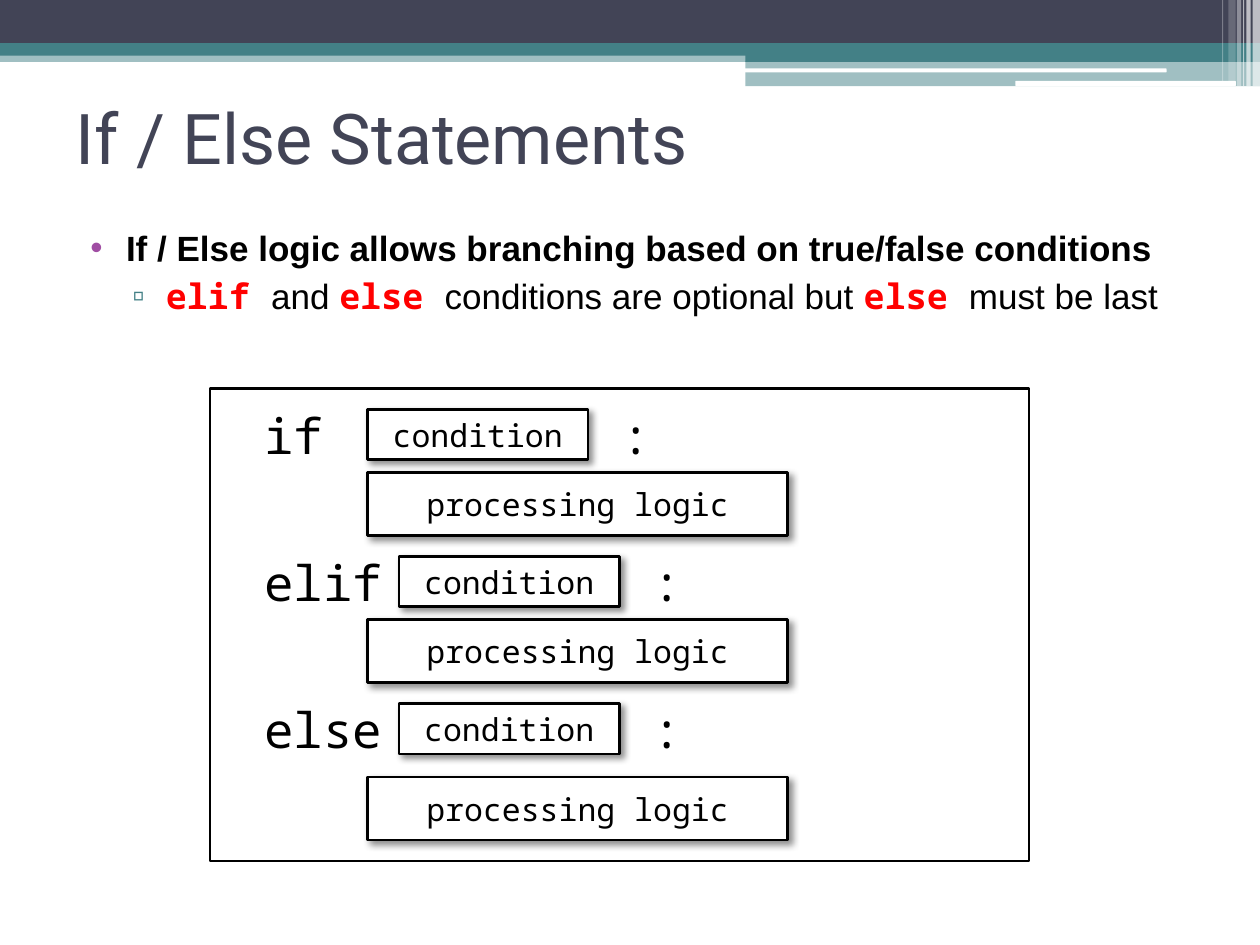
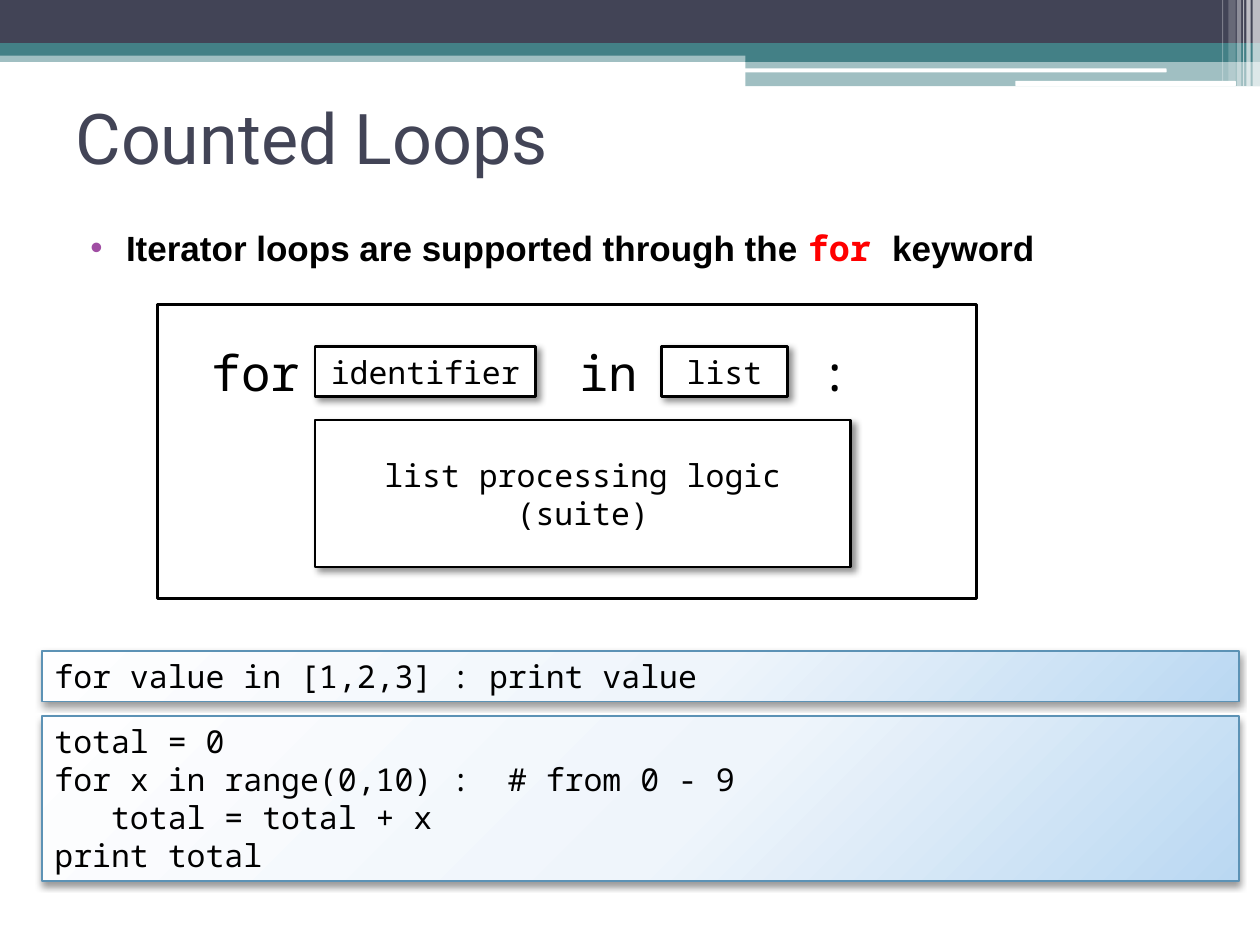
import dataclasses
import typing

import lxml.etree
import pptx
import pptx.dml.color
import pptx.enum.shapes
import pptx.enum.text
import pptx.oxml.ns
import pptx.presentation
import pptx.shapes.autoshape
import pptx.slide
import pptx.text.text
import pptx.util

RGBColor = pptx.dml.color.RGBColor
ALIGN = pptx.enum.text.PP_ALIGN
ANCHOR = pptx.enum.text.MSO_ANCHOR
AUTO_SIZE = pptx.enum.text.MSO_AUTO_SIZE
SHAPE = pptx.enum.shapes.MSO_SHAPE

SLATE = RGBColor(0x42, 0x44, 0x56)
TEAL = RGBColor(0x43, 0x80, 0x86)
PURPLE = RGBColor(0xA0, 0x4D, 0xA3)
RED = RGBColor(0xFF, 0x00, 0x00)
BLACK = RGBColor(0x00, 0x00, 0x00)
WHITE = RGBColor(0xFF, 0xFF, 0xFF)
CODE_BORDER = RGBColor(0x5C, 0x92, 0xB5)
CODE_GRADIENT = (
    (0, RGBColor(0xFE, 0xFE, 0xFF)),
    (55, RGBColor(0xEF, 0xF5, 0xFB)),
    (100, RGBColor(0xBA, 0xD8, 0xF2)),
)
CODE_FOCUS = {"l": -40, "t": -90, "r": 140, "b": 190}

TITLE_FONT = "Roboto"
BODY_FONT = "Arial"
CODE_FONT = "Noto Sans Mono"

EMU_PER_PX = 7620
SLIDE_WIDTH, SLIDE_HEIGHT = 1200, 900
ROW_STEP = 140
CODE_INDENT = 54


def px(length: int) -> pptx.util.Emu:
    return pptx.util.Emu(length * EMU_PER_PX)


class Frame(typing.NamedTuple):
    left: int
    top: int
    width: int
    height: int

    def emu(self) -> tuple[pptx.util.Emu, ...]:
        return tuple(px(length) for length in self)


class Band(typing.NamedTuple):
    frame: Frame
    color: RGBColor
    opacity: int = 100
    kind: SHAPE = SHAPE.RECTANGLE


class Shadow(typing.NamedTuple):
    opacity: int
    blur: float
    distance: float
    angle: int


class Span(typing.NamedTuple):
    text: str
    font: str = BODY_FONT
    color: RGBColor = BLACK
    bold: bool = False


class Bullet(typing.NamedTuple):
    symbol: str
    color: RGBColor
    margin: int
    hanging: int


@dataclasses.dataclass(frozen=True)
class BoxStyle:
    border: RGBColor = BLACK
    border_width: float = 1.5
    shadow: Shadow | None = None
    gradient: bool = False
    alignment: ALIGN = ALIGN.CENTER
    anchor: ANCHOR = ANCHOR.TOP
    auto_size: AUTO_SIZE = AUTO_SIZE.SHAPE_TO_FIT_TEXT


SOFT_SHADOW = Shadow(43, 4, 3, 45)
PANEL = BoxStyle(auto_size=AUTO_SIZE.NONE)
SLOT = BoxStyle(shadow=SOFT_SHADOW)
LOGIC = BoxStyle(shadow=SOFT_SHADOW, anchor=ANCHOR.MIDDLE, auto_size=AUTO_SIZE.NONE)
CODE = BoxStyle(CODE_BORDER, 0.75, Shadow(40, 4.1, 2, 90), True, ALIGN.LEFT)

BULLETS = (Bullet("•", PURPLE, 48, 34), Bullet("▫", TEAL, 86, 32))

BANDS = (
    Band(Frame(0, 48, SLIDE_WIDTH, 11), TEAL, 50),
    Band(Frame(0, 0, SLIDE_WIDTH, 41), SLATE),
    Band(Frame(0, 41, SLIDE_WIDTH, 12), TEAL),
    Band(Frame(710, 47, 490, 12), TEAL),
    Band(Frame(710, 58, 490, 24), TEAL, 50),
    Band(Frame(709, 65, 402, 4), WHITE, kind=SHAPE.ROUNDED_RECTANGLE),
    Band(Frame(967, 77, 210, 5), WHITE, kind=SHAPE.ROUNDED_RECTANGLE),
    Band(Frame(1193, 0, 7, 82), WHITE, 65),
    Band(Frame(1187, 0, 4, 82), WHITE, 65),
    Band(Frame(1184, 0, 1, 82), WHITE, 60),
    Band(Frame(1178, 0, 4, 82), WHITE, 40),
    Band(Frame(1170, 0, 7, 77), WHITE, 20),
    Band(Frame(1164, 0, 1, 77), WHITE, 30),
)


def set_formats(target: typing.Any, formats: dict[str, typing.Any]) -> None:
    for name, value in formats.items():
        setattr(target, name, value)


def add_child(parent: typing.Any, tag: str, **attributes: object) -> typing.Any:
    values = {name: str(value) for name, value in attributes.items()}
    return lxml.etree.SubElement(parent, pptx.oxml.ns.qn(tag), values)


def add_color(parent: typing.Any, color: RGBColor, opacity: int = 100) -> None:
    element = add_child(parent, "a:srgbClr", val=color)
    if opacity < 100:
        add_child(element, "a:alpha", val=opacity * 1000)


def add_span(paragraph: typing.Any, span: Span, size: int) -> None:
    run = paragraph.add_run()
    run.text = span.text
    set_formats(run.font, {"name": span.font, "size": pptx.util.Pt(size), "bold": span.bold})
    run.font.color.rgb = span.color


def paragraph_at(frame: pptx.text.text.TextFrame, index: int) -> typing.Any:
    return frame.add_paragraph() if index else frame.paragraphs[0]


def place(shape: typing.Any, frame: Frame) -> None:
    set_formats(shape, dict(zip(("left", "top", "width", "height"), frame.emu())))


def add_bands(slide: pptx.slide.Slide, layout: pptx.slide.SlideLayout) -> None:
    for band in BANDS:
        shape = slide.shapes.add_shape(band.kind, *band.frame.emu())
        shape.shadow.inherit = False
        shape.line.fill.background()
        shape.fill.solid()
        shape.fill.fore_color.rgb = band.color
        color = shape.element.spPr.find(".//" + pptx.oxml.ns.qn("a:srgbClr"))
        if band.opacity < 100:
            add_child(color, "a:alpha", val=band.opacity * 1000)
        layout.shapes.element.append(shape.element)


def set_gradient(shape: pptx.shapes.autoshape.Shape) -> None:
    shape.fill.background()
    properties = shape.element.spPr
    empty_fill = properties.find(pptx.oxml.ns.qn("a:noFill"))
    gradient = add_child(properties, "a:gradFill", rotWithShape=1)
    stops = add_child(gradient, "a:gsLst")
    for position, color in CODE_GRADIENT:
        add_color(add_child(stops, "a:gs", pos=position * 1000), color)
    circle = add_child(gradient, "a:path", path="circle")
    focus = {side: percent * 1000 for side, percent in CODE_FOCUS.items()}
    add_child(circle, "a:fillToRect", **focus)
    properties.replace(empty_fill, gradient)


def set_shadow(shape: pptx.shapes.autoshape.Shape, shadow: Shadow) -> None:
    effects = shape.element.spPr.find(pptx.oxml.ns.qn("a:effectLst"))
    outer = add_child(
        effects,
        "a:outerShdw",
        blurRad=pptx.util.Pt(shadow.blur),
        dist=pptx.util.Pt(shadow.distance),
        dir=shadow.angle * 60000,
        algn="tl",
        rotWithShape=0,
    )
    add_color(outer, BLACK, shadow.opacity)


def add_box(slide: pptx.slide.Slide, frame: Frame, style: BoxStyle, *lines: str) -> None:
    shape = slide.shapes.add_shape(SHAPE.RECTANGLE, *frame.emu())
    shape.shadow.inherit = False
    if style.gradient:
        set_gradient(shape)
    else:
        shape.fill.solid()
        shape.fill.fore_color.rgb = WHITE
    shape.line.color.rgb = style.border
    shape.line.width = pptx.util.Pt(style.border_width)
    if style.shadow:
        set_shadow(shape, style.shadow)
    text_frame = shape.text_frame
    set_formats(text_frame, {
        "word_wrap": True,
        "vertical_anchor": style.anchor,
        "auto_size": style.auto_size,
    })
    for index, line in enumerate(lines):
        paragraph = paragraph_at(text_frame, index)
        paragraph.alignment = style.alignment
        if line.startswith("\t"):
            paragraph._p.get_or_add_pPr().set("marL", str(px(CODE_INDENT)))
        add_span(paragraph, Span(line.strip(), CODE_FONT), 18)


def add_keyword(slide: pptx.slide.Slide, left: int, top: int, text: str, width: int = 120) -> None:
    box = slide.shapes.add_textbox(*Frame(left, top, width, 68).emu())
    set_formats(box.text_frame, {"word_wrap": True, "auto_size": AUTO_SIZE.SHAPE_TO_FIT_TEXT})
    add_span(box.text_frame.paragraphs[0], Span(text, CODE_FONT), 28)


def keyword_span(text: str) -> Span:
    return Span(text, CODE_FONT, RED, True)


def set_title(slide: pptx.slide.Slide, text: str) -> None:
    title = slide.shapes.title
    place(title, Frame(60, 60, 1080, 140))
    set_formats(title.text_frame, {"vertical_anchor": ANCHOR.MIDDLE, "auto_size": AUTO_SIZE.NONE})
    paragraph = title.text_frame.paragraphs[0]
    paragraph.alignment = ALIGN.LEFT
    add_span(paragraph, Span(text, TITLE_FONT, SLATE), 40)


def set_body(slide: pptx.slide.Slide, height: int, items: tuple[tuple[Span, ...], ...]) -> None:
    body = slide.placeholders[1]
    place(body, Frame(60, 210, 1080, height))
    body.text_frame.auto_size = AUTO_SIZE.NONE
    for level, spans in enumerate(items):
        paragraph = paragraph_at(body.text_frame, level)
        set_formats(paragraph, {"level": level, "space_before": pptx.util.Pt(3)})
        bullet = BULLETS[level]
        properties = paragraph._p.get_or_add_pPr()
        properties.set("marL", str(px(bullet.margin)))
        properties.set("indent", str(px(-bullet.hanging)))
        add_color(add_child(properties, "a:buClr"), bullet.color)
        add_child(properties, "a:buFont", typeface=BODY_FONT)
        add_child(properties, "a:buChar", char=bullet.symbol)
        for span in spans:
            add_span(paragraph, span, 20)


def build_branching(slide: pptx.slide.Slide) -> None:
    set_title(slide, "If / Else Statements")
    set_body(slide, 140, (
        (Span("If / Else logic allows branching based on true/false conditions", bold=True),),
        (
            keyword_span("elif "),
            Span("and "),
            keyword_span("else "),
            Span("conditions are optional but "),
            keyword_span("else "),
            Span("must be last"),
        ),
    ))
    add_box(slide, Frame(200, 370, 780, 450), PANEL)
    branches = (("if", 350, 70), ("elif", 380, 70), ("else", 380, 80))
    for row, (keyword, slot_left, logic_drop) in enumerate(branches):
        top = 380 + row * ROW_STEP
        add_keyword(slide, 240, top, keyword, 160)
        add_keyword(slide, slot_left + 230, top, ":")
        add_box(slide, Frame(slot_left, top + 10, 210, 48), SLOT, "condition")
        add_box(slide, Frame(350, top + logic_drop, 400, 60), LOGIC, "processing logic")


def build_loops(slide: pptx.slide.Slide) -> None:
    set_title(slide, "Counted Loops")
    set_body(slide, 653, ((
        Span("Iterator loops are supported through the ", bold=True),
        keyword_span("for "),
        Span("keyword", bold=True),
    ),))
    add_box(slide, Frame(40, 620, 1140, 48), CODE, "for value in [1,2,3] : print value")
    add_box(
        slide, Frame(40, 682, 1140, 157), CODE,
        "total = 0",
        "for x in range(0,10) :  # from 0 - 9",
        "\ttotal = total + x",
        "print total",
    )
    add_box(slide, Frame(150, 290, 780, 280), PANEL)
    for left, keyword in ((190, "for"), (540, "in"), (770, ":")):
        add_keyword(slide, left, 320, keyword)
    for left, width, name in ((300, 210, "identifier"), (630, 120, "list")):
        add_box(slide, Frame(left, 330, width, 48), SLOT, name)
    add_box(slide, Frame(300, 400, 510, 140), LOGIC, "list processing logic", "(suite)")


def main() -> None:
    presentation = pptx.Presentation()
    set_formats(presentation, {"slide_width": px(SLIDE_WIDTH), "slide_height": px(SLIDE_HEIGHT)})
    layout = presentation.slide_layouts[1]
    slides = [presentation.slides.add_slide(layout) for _ in range(2)]
    add_bands(slides[0], layout)
    build_branching(slides[0])
    build_loops(slides[1])
    presentation.save("out.pptx")


if __name__ == "__main__":
    main()
